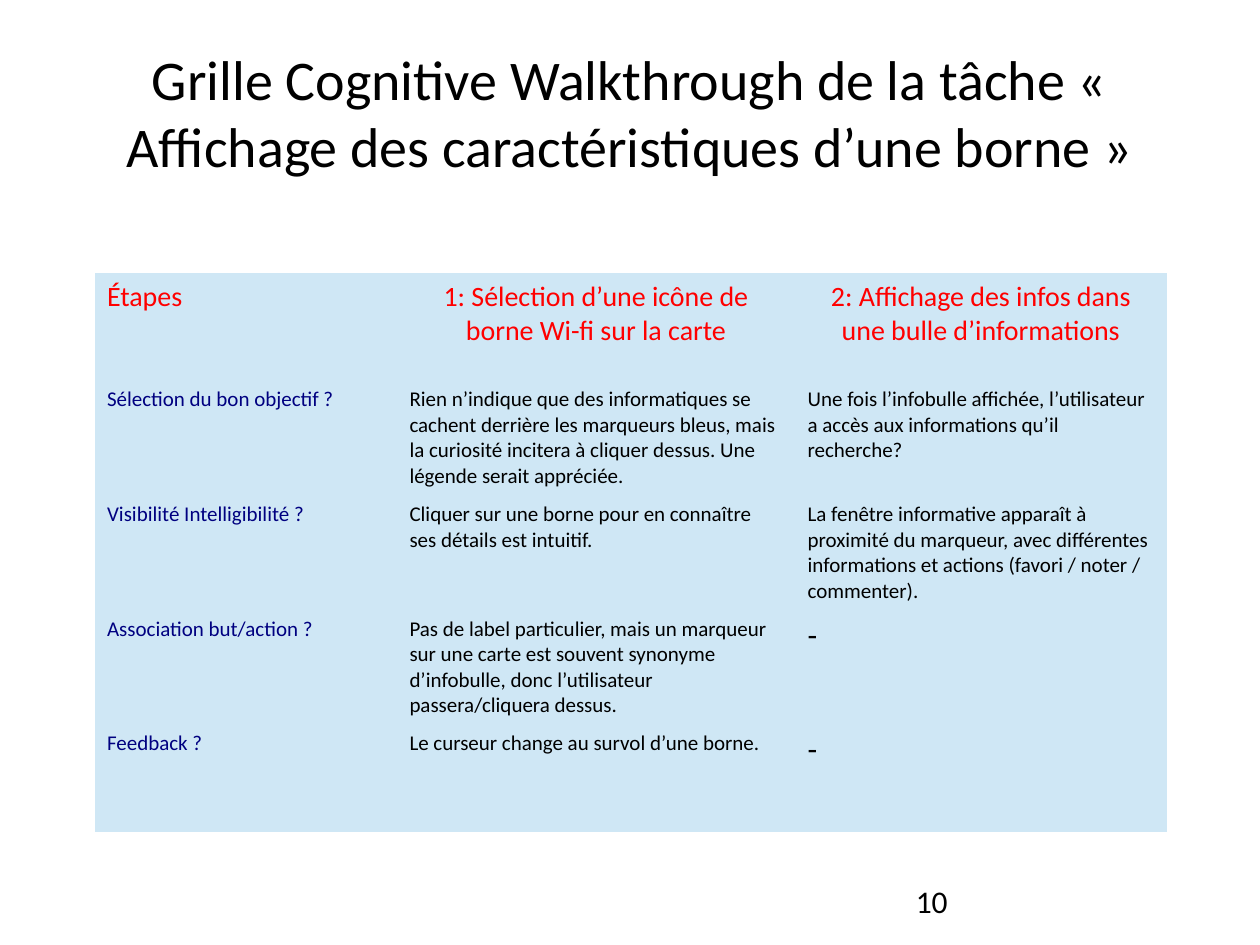
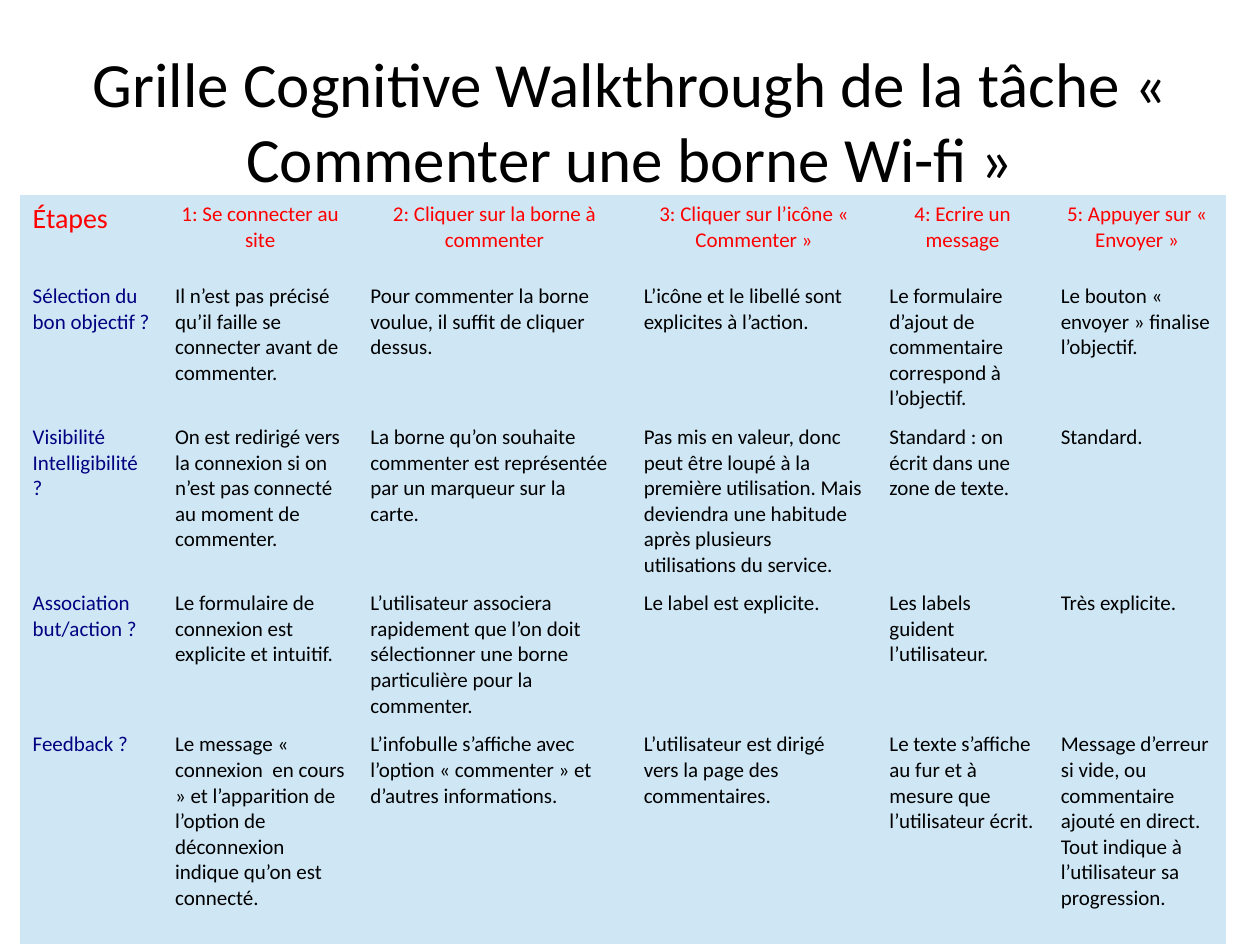
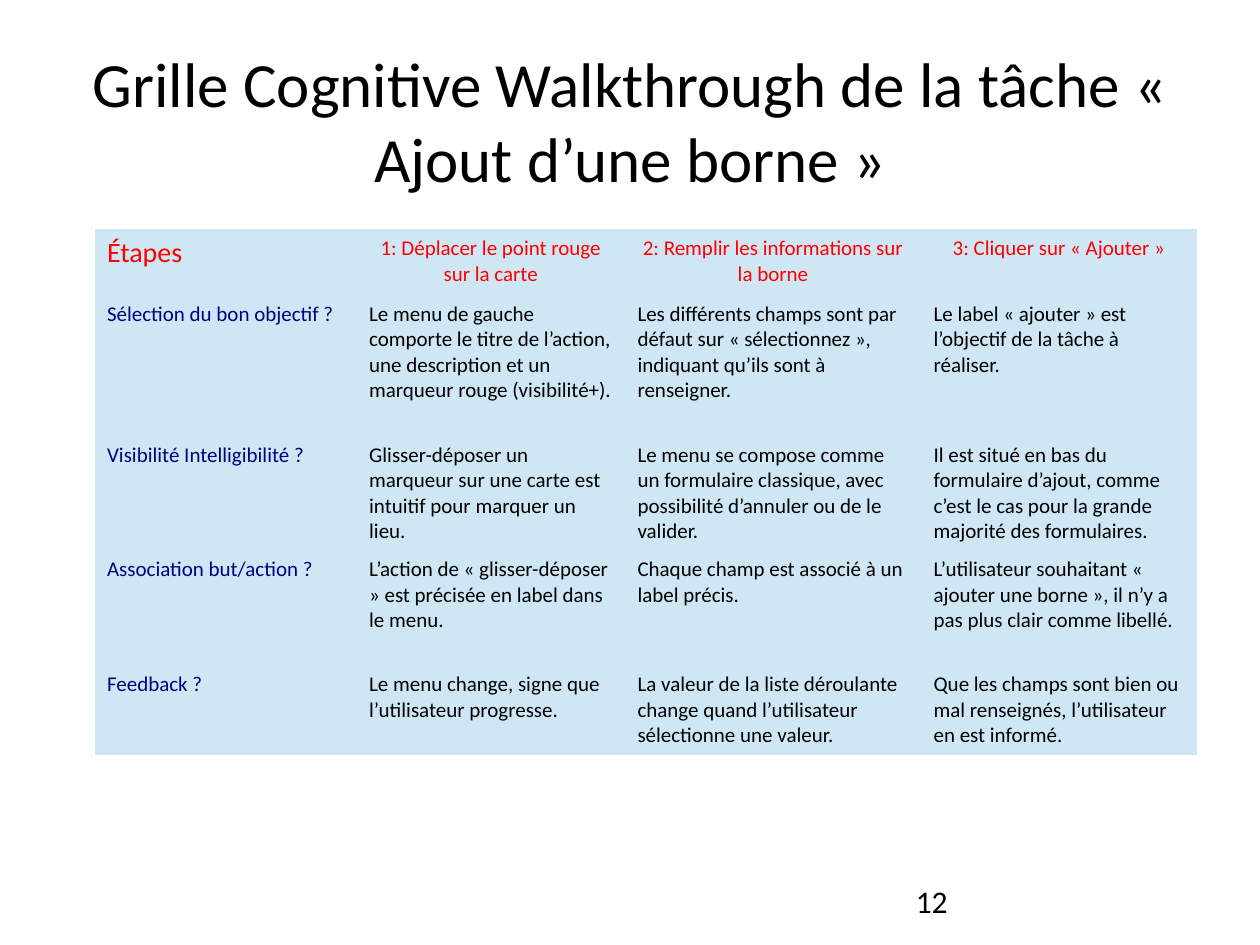
from pptx import Presentation
from pptx.dml.color import RGBColor
from pptx.enum.text import MSO_ANCHOR as Anchor, PP_ALIGN as Align
from pptx.oxml.ns import qn
from pptx.util import Inches, Pt

FONT = "Calibri"
BLACK = RGBColor(0x00, 0x00, 0x00)
RED = RGBColor(0xFF, 0x00, 0x00)
NAVY = RGBColor(0x00, 0x00, 0x80)
PALE = RGBColor(0xCF, 0xE7, 0xF5)
PLAIN = "{2D5ABB26-0587-4C30-8999-92F81FD0307C}"

TITLE = (0.5, 0.3, 9, 1.25)
NUMBER = (7.17, 6.95, 2.33, 0.4)
CORNER = "Étapes"
ASPECTS = [
    "Sélection du bon objectif ?",
    "Visibilité Intelligibilité ?",
    "Association but/action ?",
    "Feedback ?",
]

GRIDS = [
    {
        "task": "« Affichage des caractéristiques d’une borne »",
        "size": 32,
        "page": "10",
        "at": (0.75, 2.17),
        "cols": [2.4, 3.16, 2.95],
        "rows": [0.85, 0.91, 0.91, 0.91, 0.85],
        "head": 16,
        "steps": [
            "1: Sélection d’une icône de borne Wi-fi sur la carte",
            "2: Affichage des infos dans une bulle d’informations",
        ],
        "notes": [
            ["Rien n’indique que des informatiques se cachent derrière les marqueurs bleus, "
             "mais la curiosité incitera à cliquer dessus. Une légende serait appréciée.",
             "Une fois l’infobulle affichée, l’utilisateur a accès aux informations "
             "qu’il recherche?"],
            ["Cliquer sur une borne pour en connaître ses détails est intuitif.",
             "La fenêtre informative apparaît à proximité du marqueur, avec différentes "
             "informations et actions (favori / noter / commenter)."],
            ["Pas de label particulier, mais un marqueur sur une carte est souvent synonyme "
             "d’infobulle, donc l’utilisateur passera/cliquera dessus.",
             "-"],
            ["Le curseur change au survol d’une borne.",
             "-"],
        ],
    },
    {
        "task": "« Commenter une borne Wi-fi »",
        "size": 36,
        "page": None,
        "at": (0.16, 1.55),
        "cols": [1.13, 1.55, 2.17, 1.95, 1.36, 1.41],
        "rows": [0.65, 1.12, 1.32, 1.12, 1.73],
        "head": 12,
        "steps": [
            "1: Se connecter au site",
            "2: Cliquer sur la borne à commenter",
            "3: Cliquer sur l’icône « Commenter »",
            "4: Ecrire un message",
            "5: Appuyer sur « Envoyer »",
        ],
        "notes": [
            ["Il n’est pas précisé qu’il faille se connecter avant de commenter.",
             "Pour commenter la borne voulue, il suffit de cliquer dessus.",
             "L’icône et le libellé sont explicites à l’action.",
             "Le formulaire d’ajout de commentaire correspond à l’objectif.",
             "Le bouton « envoyer » finalise l’objectif."],
            ["On est redirigé vers la connexion si on n’est pas connecté au moment de "
             "commenter.",
             "La borne qu’on souhaite commenter est représentée par un marqueur sur la carte.",
             "Pas mis en valeur, donc peut être loupé à la première utilisation. Mais "
             "deviendra une habitude après plusieurs utilisations du service.",
             "Standard : on écrit dans une zone de texte.",
             "Standard."],
            ["Le formulaire de connexion est explicite et intuitif.",
             "L’utilisateur associera rapidement que l’on doit sélectionner une borne "
             "particulière pour la commenter.",
             "Le label est explicite.",
             "Les labels guident l’utilisateur.",
             "Très explicite."],
            ["Le message « connexion  en cours » et l’apparition de l’option de déconnexion "
             "indique qu’on est connecté.",
             "L’infobulle s’affiche avec l’option « commenter » et d’autres informations.",
             "L’utilisateur est dirigé vers la page des commentaires.",
             "Le texte s’affiche au fur et à mesure que l’utilisateur écrit.",
             "Message d’erreur si vide, ou commentaire ajouté en direct. Tout indique à "
             "l’utilisateur sa progression."],
        ],
    },
    {
        "task": "« Ajout d’une borne »",
        "size": 36,
        "page": "12",
        "at": (0.75, 1.82),
        "cols": [2.08, 2.13, 2.35, 2.19],
        "rows": [0.52, 1.12, 0.91, 0.91, 0.71],
        "head": 12,
        "steps": [
            "1: Déplacer le point rouge sur la carte",
            "2: Remplir les informations sur la borne",
            "3: Cliquer sur « Ajouter »",
        ],
        "notes": [
            ["Le menu de gauche comporte le titre de l’action, une description et un "
             "marqueur rouge (visibilité+).",
             "Les différents champs sont par défaut sur « sélectionnez », indiquant qu’ils "
             "sont à renseigner.",
             "Le label « ajouter » est l’objectif de la tâche à réaliser."],
            ["Glisser-déposer un marqueur sur une carte est intuitif pour marquer un lieu.",
             "Le menu se compose comme un formulaire classique, avec possibilité d’annuler "
             "ou de le valider.",
             "Il est situé en bas du formulaire d’ajout, comme c’est le cas pour la grande "
             "majorité des formulaires."],
            ["L’action de « glisser-déposer » est précisée en label dans le menu.",
             "Chaque champ est associé à un label précis.",
             "L’utilisateur souhaitant « ajouter une borne », il n’y a pas plus clair comme "
             "libellé."],
            ["Le menu change, signe que l’utilisateur progresse.",
             "La valeur de la liste déroulante change quand l’utilisateur sélectionne une "
             "valeur.",
             "Que les champs sont bien ou mal renseignés, l’utilisateur en est informé."],
        ],
    },
]


def write(frame, text, size, color=BLACK, align=Align.LEFT):
    """Put one styled run in the first paragraph of a text frame."""
    para = frame.paragraphs[0]
    para.alignment = align
    run = para.add_run()
    run.text = text
    run.font.name = FONT
    run.font.size = Pt(size)
    run.font.color.rgb = color


def add_label(slide, box, text, size, align=Align.LEFT):
    """Add a wrapped text box that fills the given box."""
    frame = slide.shapes.add_textbox(*map(Inches, box)).text_frame
    frame.word_wrap = True
    frame.vertical_anchor = Anchor.TOP
    write(frame, text, size, align=align)


def cell_style(row, col, text, head):
    """Return the size, colour and alignment of a cell by its place."""
    if row == 0:
        return (head, RED, Align.CENTER) if col else (16, RED, Align.LEFT)
    if col == 0:
        return 12, NAVY, Align.LEFT
    return 18 if text == "-" else 12, BLACK, Align.LEFT


def add_grid(slide, grid):
    """Add the walkthrough table with steps across and aspects down."""
    cols, rows = grid["cols"], grid["rows"]
    box = (*grid["at"], sum(cols), sum(rows))
    shape = slide.shapes.add_table(len(rows), len(cols), *map(Inches, box))
    table = shape.table
    table.first_row = table.horz_banding = False
    next(shape.element.iter(qn("a:tableStyleId"))).text = PLAIN
    for col, width in zip(table.columns, cols):
        col.width = Inches(width)
    for row, height in zip(table.rows, rows):
        row.height = Inches(height)
    lines = [[CORNER, *grid["steps"]]]
    lines += [[name, *notes] for name, notes in zip(ASPECTS, grid["notes"])]
    for r, line in enumerate(lines):
        for c, text in enumerate(line):
            cell = table.cell(r, c)
            cell.fill.solid()
            cell.fill.fore_color.rgb = PALE
            write(cell.text_frame, text, *cell_style(r, c, text, grid["head"]))


def add_page(deck, grid):
    """Add one slide with its title, table and page number."""
    slide = deck.slides.add_slide(deck.slide_layouts[6])
    title = f"Grille Cognitive Walkthrough de la tâche {grid['task']}"
    add_label(slide, TITLE, title, grid["size"], Align.CENTER)
    if grid["page"]:
        add_label(slide, NUMBER, grid["page"], 18)
    add_grid(slide, grid)


def main():
    """Build and save the deck."""
    deck = Presentation()
    deck.slide_width, deck.slide_height = Inches(10), Inches(7.5)
    for grid in GRIDS:
        add_page(deck, grid)
    deck.save("out.pptx")


if __name__ == "__main__":
    main()
